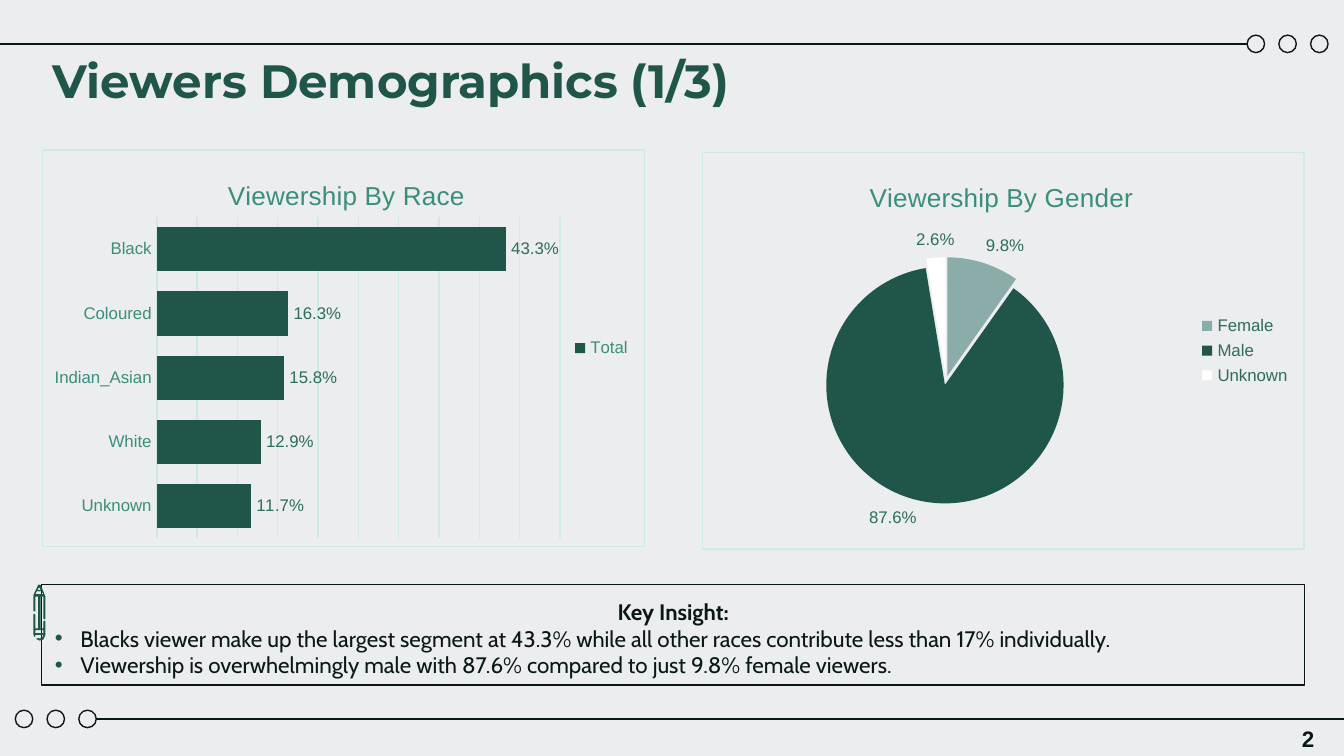
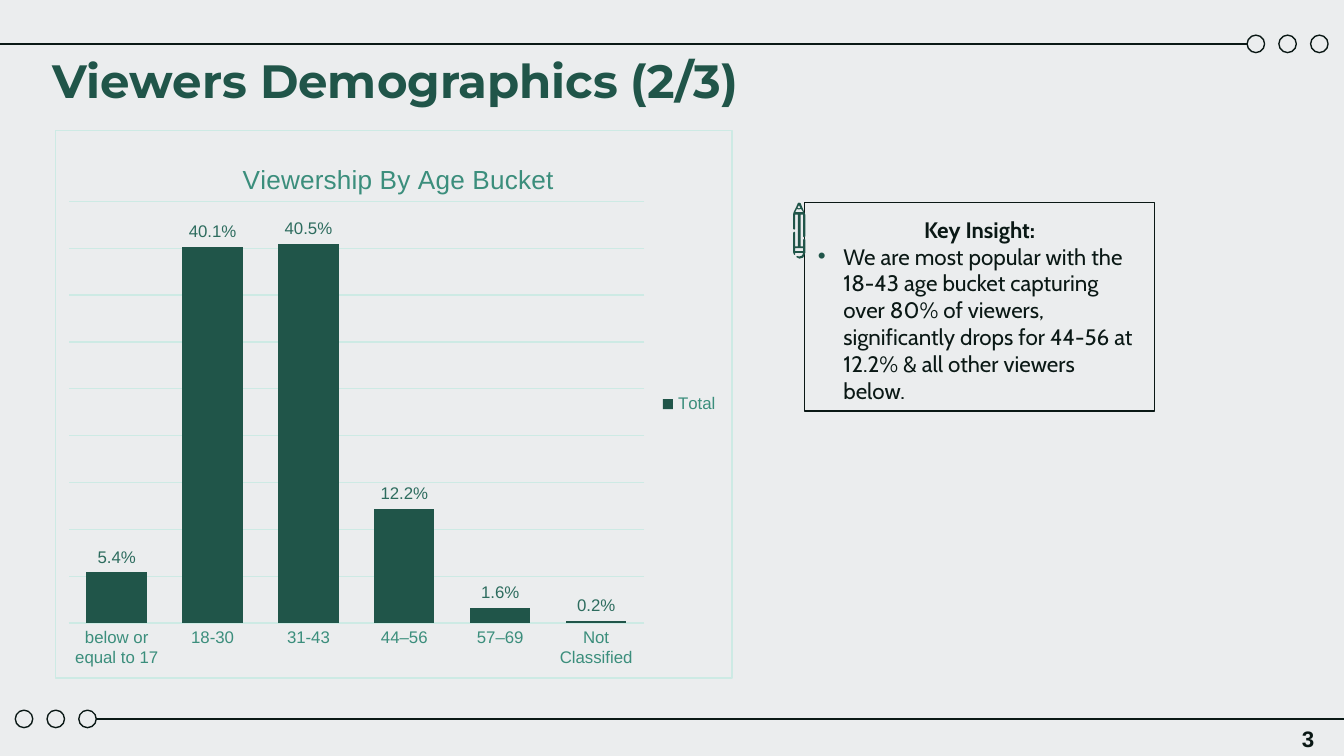
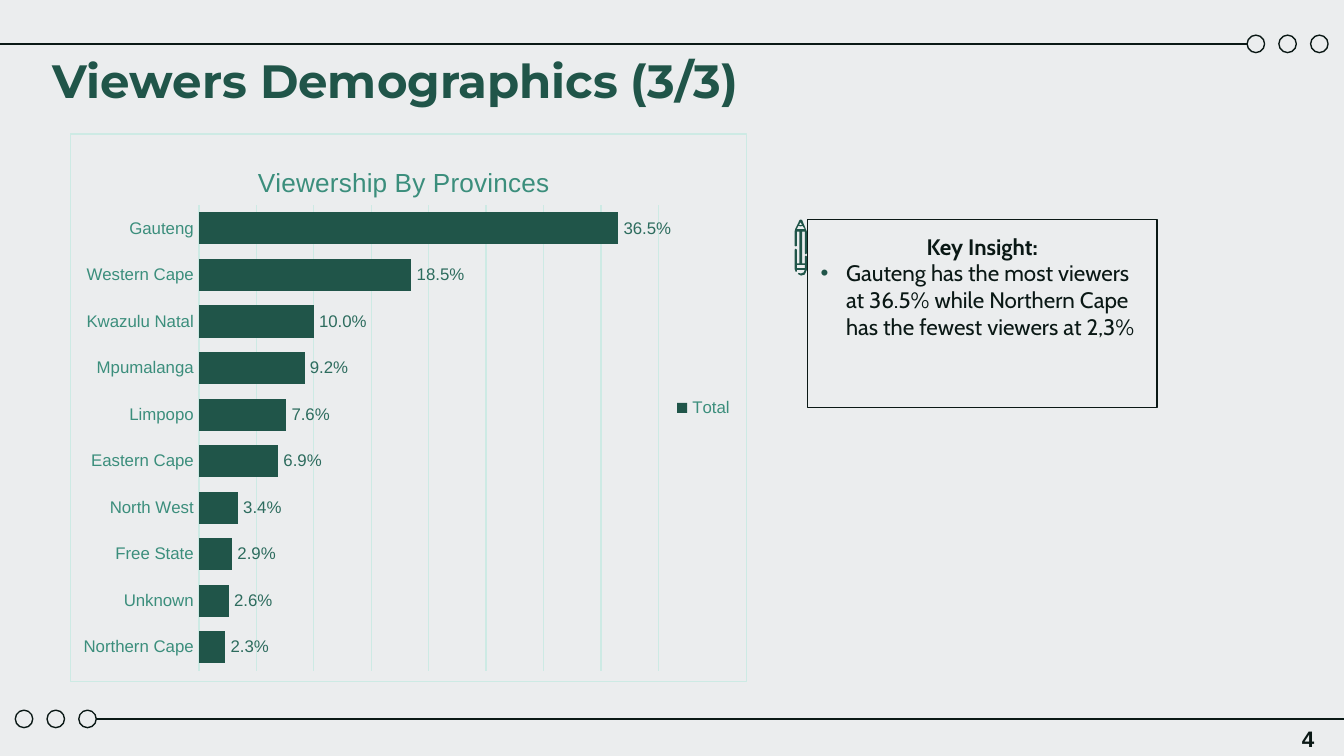
from lxml.etree import SubElement
from pptx import Presentation
from pptx.chart.data import CategoryChartData
from pptx.dml.color import RGBColor
from pptx.enum.chart import XL_CHART_TYPE as ChartType
from pptx.enum.chart import XL_LABEL_POSITION as LabelPosition
from pptx.enum.chart import XL_LEGEND_POSITION as LegendPosition
from pptx.enum.chart import XL_TICK_MARK as TickMark
from pptx.enum.shapes import MSO_CONNECTOR as Connector
from pptx.enum.shapes import MSO_SHAPE as Shape
from pptx.enum.text import MSO_ANCHOR as Anchor
from pptx.enum.text import PP_ALIGN as Align
from pptx.oxml import parse_xml
from pptx.oxml.ns import nsdecls, qn
from pptx.util import Cm, Pt

BACKGROUND, INK, GREEN = "EBEDEE", "0A1815", "205549"
TITLE_GREEN, LABEL_GREEN, PALE_GREEN = "3B8E7C", "2D6C5E", "CDEAE4"
SAGE, WHITE = "8AADAA", "FFFFFF"
PERCENT = "0.0%"

# Contours of the pencil icon, in hundredths of a centimetre.
PENCIL = [
    [(11, 0), (9, 1), (6, 8), (1, 18), (0, 22), (0, 50), (2, 51), (4, 50),
     (4, 23), (9, 23), (9, 83), (4, 83), (4, 57), (2, 55), (0, 57), (0, 94),
     (2, 99), (4, 98), (4, 95), (19, 95), (17, 100), (12, 102), (7, 101),
     (6, 103), (12, 106), (19, 104), (23, 95), (23, 70), (21, 68), (19, 70),
     (19, 83), (14, 83), (14, 23), (19, 23), (19, 64), (21, 66), (23, 64),
     (23, 23), (21, 18), (14, 1)],
    [(11, 5), (14, 10), (11, 11), (8, 10)],
    [(15, 12), (19, 18), (4, 18), (7, 12), (11, 13)],
    [(19, 86), (19, 92), (4, 92), (4, 86)],
]


def color(hex_string):
    return RGBColor.from_string(hex_string)


def set_font(font, size, hex_color, name="Arial", bold=False):
    font.size, font.name, font.bold = Pt(size), name, bold
    font.color.rgb = color(hex_color)


def set_line(line, hex_color):
    line.color.rgb = color(hex_color)
    line.width = Pt(0.75)


def set_layout(parent, index, **fractions):
    """Place a chart part by fractions (x, y, w, h) of the chart's size."""
    for layout in parent.findall(qn("c:layout")):
        parent.remove(layout)
    layout = parse_xml(f"<c:layout {nsdecls('c')}><c:manualLayout/></c:layout>")
    manual = layout[0]
    if "w" in fractions:
        SubElement(manual, qn("c:layoutTarget"), val="inner")
    for edge in "xy":
        SubElement(manual, qn(f"c:{edge}Mode"), val="edge")
    for key, value in fractions.items():
        SubElement(manual, qn(f"c:{key}"), val=str(value))
    parent.insert(index, layout)


def set_bullet(paragraph):
    properties = paragraph._p.get_or_add_pPr()
    properties.set("marL", str(Cm(0.48)))
    properties.set("indent", str(-Cm(0.48)))
    bullet_color = SubElement(properties, qn("a:buClr"))
    SubElement(bullet_color, qn("a:srgbClr"), val=GREEN)
    SubElement(properties, qn("a:buFont"), typeface="Arial")
    SubElement(properties, qn("a:buChar"), char="•")


class Deck:
    def __init__(self):
        self.presentation = Presentation()
        self.presentation.slide_width = Cm(25.4)
        self.presentation.slide_height = Cm(14.29)
        fill = self.presentation.slide_master.background.fill
        fill.solid()
        fill.fore_color.rgb = color(BACKGROUND)
        self.slide = None

    def new_slide(self, title, number):
        layout = self.presentation.slide_layouts[6]
        self.slide = self.presentation.slides.add_slide(layout)
        self.band(0.83, first_circle=23.57, line=(0, 23.57))
        self.band(13.59, first_circle=0.29, line=(1.82, 25.4))
        self.text(title, (0.74, 1.02, 13.94, 1.14), 25, GREEN, "Montserrat", Anchor.BOTTOM)
        self.text(str(number), (19.37, 13.6, 5.72, 0.74), 12, INK, "Arial", Anchor.MIDDLE,
                  Align.RIGHT)

    def band(self, middle, first_circle, line):
        """Draw a horizontal rule with three circles at one end."""
        size = 0.33
        for index in range(3):
            box = (first_circle + 0.6 * index, middle - size / 2, size, size)
            self.outline(Shape.OVAL, box)
        start, end = line
        rule = self.slide.shapes.add_connector(
            Connector.STRAIGHT, Cm(start), Cm(middle), Cm(end), Cm(middle))
        set_line(rule.line, INK)
        SubElement(rule._element.spPr, qn("a:effectLst"))

    def outline(self, kind, box):
        shape = self.slide.shapes.add_shape(kind, *map(Cm, box))
        shape.shadow.inherit = False
        shape.fill.background()
        set_line(shape.line, INK)
        return shape

    def text(self, text, box, size, hex_color, font, anchor, align=Align.LEFT):
        frame = self.slide.shapes.add_textbox(*map(Cm, box)).text_frame
        frame.word_wrap = True
        frame.vertical_anchor = anchor
        paragraph = frame.paragraphs[0]
        paragraph.text = text
        paragraph.alignment = align
        set_font(paragraph.font, size, hex_color, font, bold=True)

    def key_insight(self, box, insights, pencil_left):
        frame = self.outline(Shape.RECTANGLE, box).text_frame
        frame.word_wrap = True
        frame.vertical_anchor = Anchor.TOP
        frame.margin_left = frame.margin_right = Cm(0.25)
        frame.margin_top = frame.margin_bottom = Cm(0.25)
        heading = frame.paragraphs[0]
        heading.text = "Key Insight:"
        heading.alignment = Align.CENTER
        set_font(heading.font, 12, INK, "Cabin", bold=True)
        for insight in insights:
            paragraph = frame.add_paragraph()
            paragraph.text = insight
            paragraph.alignment = Align.LEFT
            set_bullet(paragraph)
            set_font(paragraph.font, 12, INK, "Cabin")
        self.pencil(pencil_left, box[1])

    def pencil(self, left, top):
        outer, *holes = PENCIL
        builder = self.slide.shapes.build_freeform(*outer[0], scale=Cm(0.01))
        builder.add_line_segments(outer[1:])
        for hole in holes:
            builder.move_to(*hole[0])
            builder.add_line_segments(hole[1:])
        shape = builder.convert_to_shape(Cm(left), Cm(top))
        shape.shadow.inherit = False
        shape.fill.solid()
        shape.fill.fore_color.rgb = color(GREEN)
        shape.line.fill.background()

    def chart(self, kind, box, title, title_at, plot_at, series_name, values,
              legend_color=TITLE_GREEN):
        """Add a chart with the shared title, legend, labels and border."""
        data = CategoryChartData(number_format=PERCENT)
        data.categories = list(values)
        data.add_series(series_name, list(values.values()))
        chart = self.slide.shapes.add_chart(kind, *map(Cm, box), data).chart
        set_font(chart.font, 9, TITLE_GREEN)

        chart.has_title = True
        heading = chart.chart_title.text_frame.paragraphs[0]
        heading.text = title
        set_font(heading.font, 14, TITLE_GREEN)
        x, y = title_at
        set_layout(chart.chart_title._element, 1, x=x, y=y)
        x, y, w, h = plot_at
        set_layout(chart.element.find(".//" + qn("c:plotArea")), 0, x=x, y=y, w=w, h=h)

        chart.has_legend = True
        chart.legend.position = LegendPosition.RIGHT
        chart.legend.include_in_layout = False
        set_font(chart.legend.font, 9, legend_color)

        labels = chart.plots[0].series[0].data_labels
        labels.show_value = True
        labels.number_format = PERCENT
        labels.number_format_is_linked = False
        labels.position = LabelPosition.OUTSIDE_END
        set_font(labels.font, 9, LABEL_GREEN)

        chart.element.find(qn("c:chart")).addnext(parse_xml(
            f'<c:spPr {nsdecls("c", "a")}><a:noFill/><a:ln w="{Pt(0.75)}"><a:solidFill>'
            f'<a:srgbClr val="{PALE_GREEN}"/></a:solidFill></a:ln></c:spPr>'))
        return chart

    def bar_chart(self, kind, box, title, title_at, plot_at, values, gap, maximum):
        chart = self.chart(kind, box, title, title_at, plot_at, "Total", values)
        plot = chart.plots[0]
        plot.gap_width = gap
        plot.vary_by_categories = False
        fill = plot.series[0].format.fill
        fill.solid()
        fill.fore_color.rgb = color(GREEN)

        categories = chart.category_axis
        categories.major_tick_mark = categories.minor_tick_mark = TickMark.NONE
        categories.has_major_gridlines = False
        set_line(categories.format.line, PALE_GREEN)
        set_font(categories.tick_labels.font, 9, TITLE_GREEN)

        axis = chart.value_axis
        axis.minimum_scale, axis.maximum_scale, axis.major_unit = 0, maximum, 0.05
        axis.has_major_gridlines = True
        set_line(axis.major_gridlines.format.line, PALE_GREEN)
        axis.visible = False

    def pie_chart(self, box, title, title_at, plot_at, values, colors):
        chart = self.chart(ChartType.PIE, box, title, title_at, plot_at, "Series 1", values,
                           LABEL_GREEN)
        plot = chart.plots[0]
        plot.vary_by_categories = True
        series = plot.series[0]
        for index, hex_color in enumerate(colors):
            fill = series.points[index].format.fill
            fill.solid()
            fill.fore_color.rgb = color(hex_color)
        series._element.find(qn("c:tx")).addnext(
            parse_xml(f'<c:explosion {nsdecls("c")} val="4"/>'))


def main():
    deck = Deck()

    deck.new_slide("Viewers Demographics (1/3)", 2)
    deck.key_insight(
        (0.79, 11.05, 23.87, 1.9),
        ["Blacks viewer make up the largest segment at 43.3% while all other races "
         "contribute less than 17% individually.",
         "Viewership is overwhelmingly male with 87.6% compared to just 9.8% female viewers."],
        pencil_left=0.63)
    deck.bar_chart(
        ChartType.BAR_CLUSTERED, (0.79, 2.82, 11.4, 7.52), "Viewership By Race",
        (0.3, 0.06), (0.19, 0.17, 0.67, 0.81),
        {"Unknown": 0.117, "White": 0.129, "Indian_Asian": 0.158, "Coloured": 0.163,
         "Black": 0.433},
        gap=45, maximum=0.5)
    deck.pie_chart(
        (13.26, 2.87, 11.4, 7.52), "Viewership By Gender",
        (0.27, 0.06), (0.2, 0.26, 0.41, 0.63),
        {"Female": 0.098, "Male": 0.876, "Unknown": 0.026},
        [SAGE, GREEN, WHITE])

    deck.new_slide("Viewers Demographics (2/3)", 3)
    deck.key_insight(
        (15.21, 3.83, 6.61, 3.94),
        ["We are most popular with the 18-43 age bucket capturing over 80% of viewers, "
         "significantly drops for 44-56 at 12.2% & all other viewers below."],
        pencil_left=14.99)
    deck.bar_chart(
        ChartType.COLUMN_CLUSTERED, (1.03, 2.45, 12.82, 10.38), "Viewership By Age Bucket",
        (0.27, 0.05), (0.02, 0.13, 0.85, 0.77),
        {"below or equal to 17": 0.054, "18-30": 0.401, "31-43": 0.405, "44–56": 0.122,
         "57–69": 0.016, "Not Classified": 0.002},
        gap=59, maximum=0.45)

    deck.new_slide("Viewers Demographics (3/3)", 4)
    deck.key_insight(
        (15.26, 4.15, 6.61, 3.56),
        ["Gauteng has the most viewers at 36.5% while Northern Cape has the fewest "
         "viewers at 2,3%"],
        pencil_left=15.02)
    deck.bar_chart(
        ChartType.BAR_CLUSTERED, (1.32, 2.52, 12.8, 10.38), "Viewership By Provinces",
        (0.27, 0.05), (0.19, 0.13, 0.68, 0.85),
        {"Northern Cape": 0.023, "Unknown": 0.026, "Free State": 0.029, "North West": 0.034,
         "Eastern Cape": 0.069, "Limpopo": 0.076, "Mpumalanga": 0.092, "Kwazulu Natal": 0.1,
         "Western Cape": 0.185, "Gauteng": 0.365},
        gap=45, maximum=0.4)

    deck.presentation.save("out.pptx")


if __name__ == "__main__":
    main()
